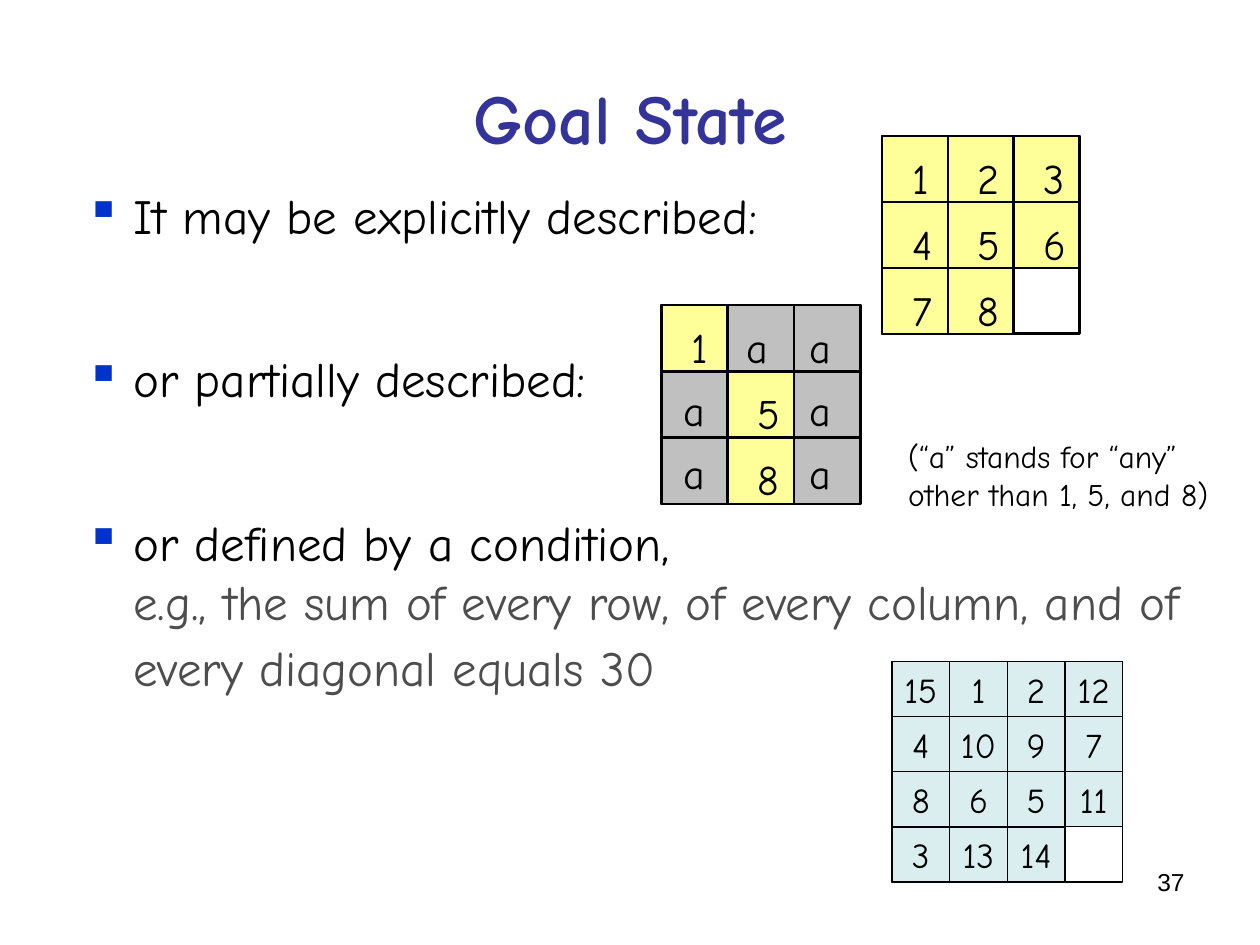
"""Build the Goal State slide with its three example puzzle boards."""
from lxml.etree import SubElement
from pptx import Presentation
from pptx.dml.color import RGBColor
from pptx.enum.shapes import MSO_SHAPE
from pptx.enum.text import MSO_ANCHOR, PP_ALIGN
from pptx.oxml.ns import qn
from pptx.util import Inches, Pt


def add_run(paragraph, text, size, color="000000", font="Comic Neue", bold=False):
    run = paragraph.add_run()
    run.text = text
    run.font.size = Pt(size)
    run.font.name = font
    run.font.bold = bold
    run.font.color.rgb = RGBColor.from_string(color)


def add_square(shapes, left, top, width, height, fill, line_width):
    shape = shapes.add_shape(MSO_SHAPE.RECTANGLE, Inches(left), Inches(top), Inches(width), Inches(height))
    shape.shadow.inherit = False
    if fill:
        shape.fill.solid()
        shape.fill.fore_color.rgb = RGBColor.from_string(fill)
    else:
        shape.fill.background()
    shape.line.color.rgb = RGBColor.from_string("000000")
    shape.line.width = Pt(line_width)
    return shape


presentation = Presentation()
presentation.slide_width = Inches(10)
presentation.slide_height = Inches(7.5)
slide = presentation.slides.add_slide(presentation.slide_layouts[6])

body = slide.shapes.add_textbox(Inches(0.58), Inches(1.42), Inches(9), Inches(6.08)).text_frame
body.word_wrap = True
points = ["It may be explicitly described:", "or partially described:", "or defined by a condition,"]
for index, point in enumerate(points):
    paragraph = body.paragraphs[0] if index == 0 else body.add_paragraph()
    properties = paragraph._p.get_or_add_pPr()
    properties.set("marL", str(Inches(0.38)))
    properties.set("indent", str(Inches(-0.38)))
    bullet_color = SubElement(properties, qn("a:buClr"))
    SubElement(bullet_color, qn("a:srgbClr"), val="0033CC")
    SubElement(properties, qn("a:buChar"), char="▪")
    if index:
        paragraph.space_before = Pt(60)
    add_run(paragraph, point, 28)
paragraph.add_line_break()
add_run(paragraph, "e.g., the sum of every row, of every column, and of every diagonal equals 30", 28, "4D4D4D")
add_run(paragraph, " ", 32)

title = slide.shapes.add_textbox(Inches(0.5), Inches(0.3), Inches(9), Inches(1.25)).text_frame
title.word_wrap = True
title.vertical_anchor = MSO_ANCHOR.MIDDLE
title.paragraphs[0].alignment = PP_ALIGN.CENTER
add_run(title.paragraphs[0], "Goal State", 40, "333399", bold=True)

eight_boards = [
    (7, 1.08, 1.57, None, ["123", "456", "78"]),
    (5.25, 2.42, 1.58, "C0C0C0", ["1aa", "a5a", "a8a"]),
]
for left, top, side, frame_fill, rows in eight_boards:
    shapes = slide.shapes.add_group_shape().shapes
    add_square(shapes, left, top, side, side, frame_fill, 1.5)
    cell = side / 3
    labels = []
    for row, symbols in enumerate(rows):
        for column, symbol in enumerate(symbols):
            x, y = left + column * cell, top + row * cell
            if symbol == "a":
                fill = "C0C0C0"
                labels.append((symbol, left + 0.08 + column * 0.5, top + 0.08 + row * 0.5))
            else:
                fill = "FFFF99"
                labels.append((symbol, x + 0.14, y + 0.08))
            if (row, column) != (2, 2):
                add_square(shapes, x, y, cell, cell, fill, 1.5)
    for symbol, x, y in labels:
        label = shapes.add_textbox(Inches(x), Inches(y), Inches(0.41), Inches(0.5)).text_frame
        label.word_wrap = True
        add_run(label.paragraphs[0], symbol, 24)

magic_rows = [[15, 1, 2, 12], [4, 10, 9, 7], [8, 6, 5, 11], [3, 13, 14]]
magic_left, magic_top, magic_width, magic_height = 7.08, 5.25, 1.83, 1.75
cell_width, cell_height = magic_width / 4, magic_height / 4
shapes = slide.shapes.add_group_shape().shapes
add_square(shapes, magic_left, magic_top, magic_width, magic_height, None, 0.75)
for row, numbers in enumerate(magic_rows):
    for column, number in enumerate(numbers):
        tile = add_square(shapes, magic_left + column * cell_width, magic_top + row * cell_height,
                          cell_width, cell_height, "DAEEF0", 0.75).text_frame
        tile.word_wrap = False
        tile.vertical_anchor = MSO_ANCHOR.MIDDLE
        tile.paragraphs[0].alignment = PP_ALIGN.CENTER
        add_run(tile.paragraphs[0], str(number), 20)

note = slide.shapes.add_textbox(Inches(7.11), Inches(3.42), Inches(2.58), Inches(0.7)).text_frame
note.word_wrap = False
add_run(note.paragraphs[0], "(“a” stands for “any”", 18)
add_run(note.add_paragraph(), "other than 1, 5, and 8)", 18)

page_number = slide.shapes.add_textbox(Inches(7.17), Inches(6.83), Inches(2.33), Inches(0.52)).text_frame
page_number.word_wrap = True
page_number.paragraphs[0].alignment = PP_ALIGN.RIGHT
add_run(page_number.paragraphs[0], "37", 14, font="Arial")

presentation.save("out.pptx")
